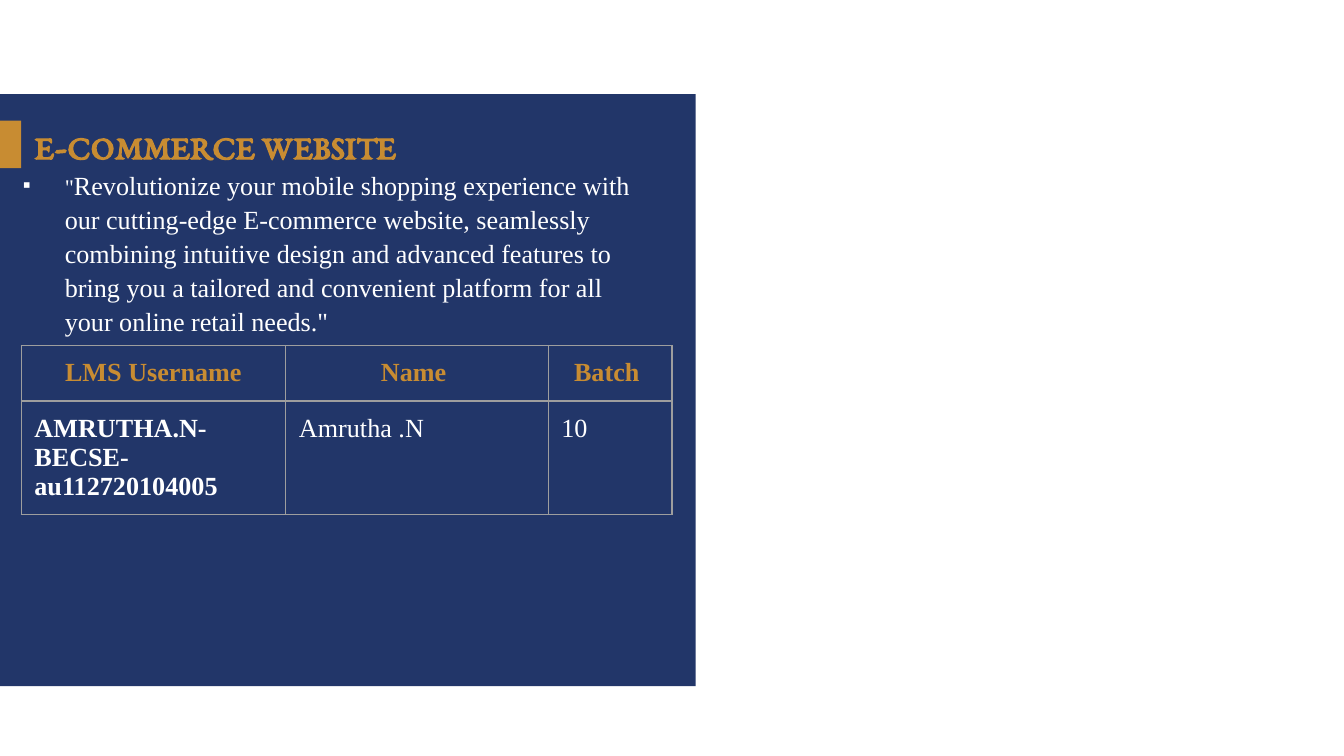
from dataclasses import dataclass

from lxml import etree
from pptx import Presentation
from pptx import util as u
from pptx.dml.color import RGBColor
from pptx.enum import shapes, text
from pptx.oxml import parse_xml
from pptx.oxml.ns import qn

NAVY, GOLD, WHITE, GREY = "223669", "C88C32", "FFFFFF", "9E9E9E"
SERIF = "Times New Roman"
NS = 'xmlns:a="http://schemas.openxmlformats.org/drawingml/2006/main"'


@dataclass
class Box:
    left: float
    top: float
    width: float
    height: float

    def dims(self) -> list:
        return [u.Cm(v) for v in (self.left, self.top, self.width, self.height)]


@dataclass
class Panel:
    box: Box
    fill: str


@dataclass
class Entry:
    words: str
    hue: str
    bold: bool
    align: text.PP_ALIGN


def paint(color, code: str) -> None:
    color.rgb = RGBColor.from_string(code)


def style(font, size: float, hue: str, name: str = SERIF, bold: bool = False) -> None:
    font.name, font.size, font.bold = name, u.Pt(size), bold
    paint(font.color, hue)


def place(shape, box: Box, anchor) -> None:
    shape.left, shape.top, shape.width, shape.height = box.dims()
    frame = shape.text_frame
    frame.word_wrap = True
    frame.auto_size = text.MSO_AUTO_SIZE.NONE
    frame.vertical_anchor = anchor


def draw_panel(slide, panel: Panel) -> None:
    rect = slide.shapes.add_shape(shapes.MSO_SHAPE.RECTANGLE, *panel.box.dims())
    rect.shadow.inherit = False
    rect.fill.solid()
    paint(rect.fill.fore_color, panel.fill)
    rect.line.fill.background()
    # Panels lie behind the title and body
    slide.shapes.title.element.addprevious(rect.element)


def add_bullet(para, mark: str, hue: str, indent: float) -> None:
    props = para._p.get_or_add_pPr()
    props.set("marL", str(u.Cm(indent)))
    props.set("indent", str(-u.Cm(indent)))
    color = etree.SubElement(props, qn("a:buClr"))
    etree.SubElement(color, qn("a:srgbClr"), val=hue)
    etree.SubElement(props, qn("a:buChar"), char=mark)


def fill_cell(cell, entry: Entry) -> None:
    cell.margin_left = cell.margin_right = u.Cm(0.25)
    cell.margin_top = cell.margin_bottom = u.Cm(0.25)
    cell.text = entry.words
    para = cell.text_frame.paragraphs[0]
    para.alignment = entry.align
    style(para.font, 14, entry.hue, bold=entry.bold)
    cell.fill.background()
    props = cell._tc.get_or_add_tcPr()
    for spot, side in enumerate("LRTB"):
        props.insert(spot, parse_xml(
            f'<a:ln{side} {NS} w="{u.Pt(0.75)}"><a:solidFill>'
            f'<a:srgbClr val="{GREY}"/></a:solidFill></a:ln{side}>'))


def draw_table(slide, box: Box, cols: list[float], rows: list[float],
               grid: list[list[Entry]]) -> None:
    table = slide.shapes.add_table(len(rows), len(cols), *box.dims()).table
    table.first_row = table.horz_banding = False
    for col, width in zip(table.columns, cols):
        col.width = u.Cm(width)
    for row, height, line in zip(table.rows, rows, grid):
        row.height = u.Cm(height)
        for cell, entry in zip(row.cells, line):
            fill_cell(cell, entry)


def main() -> None:
    deck = Presentation()
    deck.slide_width, deck.slide_height = u.Cm(25.4), u.Cm(14.29)
    slide = deck.slides.add_slide(deck.slide_layouts[1])

    # Navy panel and gold tab
    for panel in (Panel(Box(0, 1.78, 13.15, 11.19), NAVY),
                  Panel(Box(0, 2.28, 0.4, 0.9), GOLD)):
        draw_panel(slide, panel)

    # Title
    title = slide.shapes.title
    place(title, Box(0.4, 2.27, 9.5, 0.96), text.MSO_ANCHOR.MIDDLE)
    title.text_frame.text = "E-COMMERCE WEBSITE"
    head = title.text_frame.paragraphs[0]
    head.alignment = text.PP_ALIGN.LEFT
    style(head.font, 18.3, GOLD, "EB Garamond", True)

    # Pitch with a smaller opening quote
    body = slide.placeholders[1]
    place(body, Box(0.18, 3.03, 12.3, 2.74), text.MSO_ANCHOR.TOP)
    pitch = body.text_frame.paragraphs[0]
    pitch.line_spacing, pitch.space_before = 1.08, u.Pt(0)
    add_bullet(pitch, "▪", WHITE, 0.79)
    for words, size in (
            ('"', 12),
            ("Revolutionize your mobile shopping experience with our "
             "cutting-edge E-commerce website, seamlessly combining intuitive "
             "design and advanced features to bring you a tailored and "
             'convenient platform for all your online retail needs."', 14)):
        run = pitch.add_run()
        run.text = words
        style(run.font, size, WHITE)

    # Student table
    mid, left = text.PP_ALIGN.CENTER, text.PP_ALIGN.LEFT
    heads = [Entry(words, GOLD, True, mid)
             for words in ("LMS Username", "Name ", "Batch ")]
    student = [Entry("AMRUTHA.N-BECSE-au112720104005", WHITE, True, left),
               Entry("Amrutha .N", WHITE, False, left),
               Entry("10", WHITE, False, left)]
    draw_table(slide, Box(0.4, 6.53, 12.3, 3.2), [5, 4.96, 2.34],
               [1.05, 2.15], [heads, student])

    deck.save("out.pptx")


if __name__ == "__main__":
    main()
